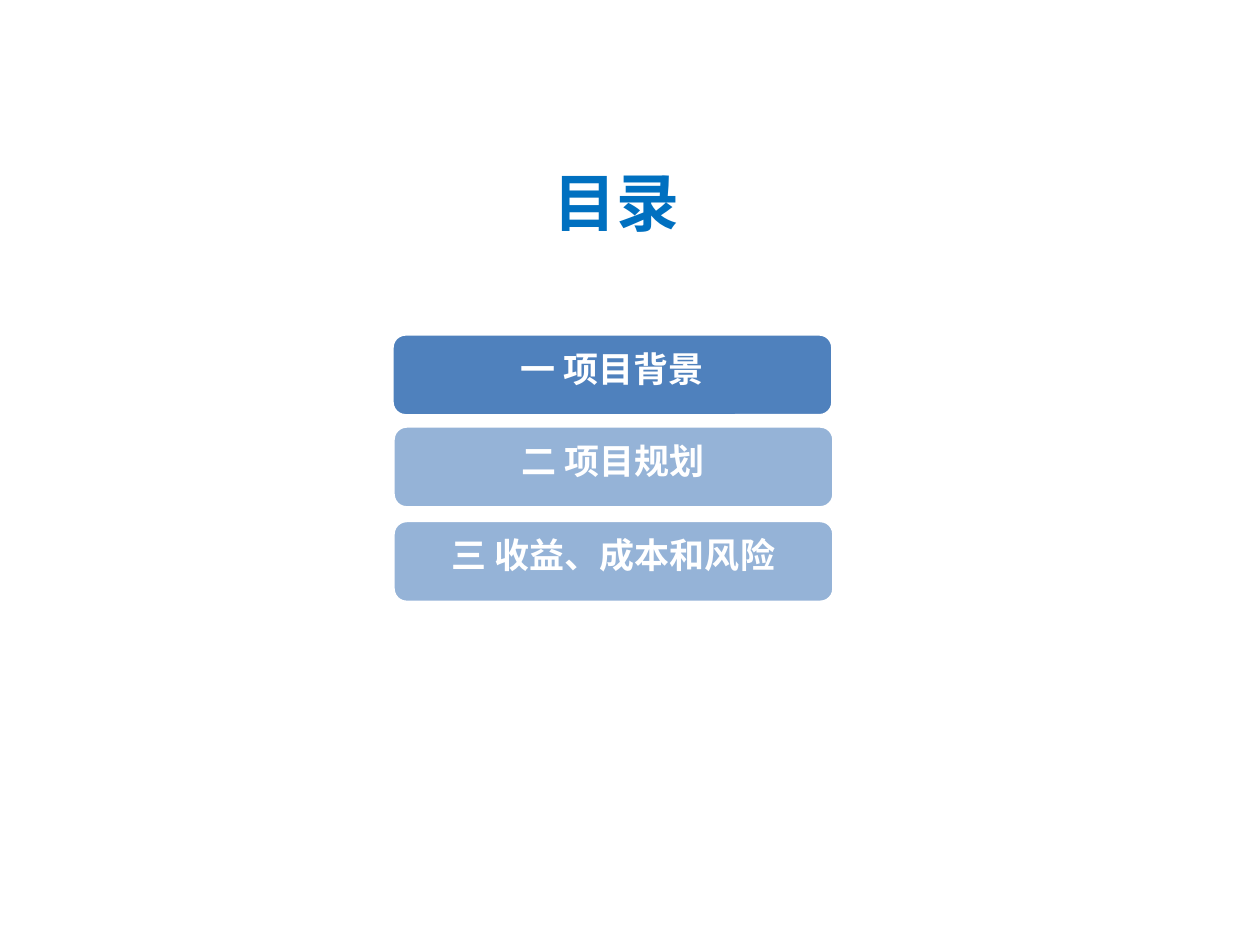
from pptx import Presentation
from pptx import util as u
from pptx.dml.color import RGBColor
from pptx.enum import shapes, text
from pptx.oxml.ns import qn
from lxml import etree

FONT = "Noto Sans CJK SC"
TITLE = {"text": "目录", "box": (308, 95, 88, 46.8), "size": 36, "color": "0070C0"}
BAR_W, BAR_H = 252, 46.8
BARS = [
    ("一 项目背景", 224, 190.8, "4F81BD"),
    ("二 项目规划", 224.6, 243.4, "95B3D7"),
    ("三 收益、成本和风险", 224.6, 297.4, "95B3D7"),
]
BAR_FRAME = {
    "word_wrap": True,
    "vertical_anchor": text.MSO_ANCHOR.BOTTOM,
    "margin_left": u.Pt(15),
    "margin_right": u.Pt(15),
    "margin_top": u.Pt(5),
    "margin_bottom": u.Pt(12.6),
}
TITLE_FRAME = {
    "word_wrap": False,
    "auto_size": text.MSO_AUTO_SIZE.NONE,
    "vertical_anchor": text.MSO_ANCHOR.TOP,
}


def rgb(value):
    return RGBColor.from_string(value)


def assign(obj, values):
    for name, value in values.items():
        setattr(obj, name, value)


def write(sp, content, size, color, frame):
    tf = sp.text_frame
    assign(tf, frame)
    p = tf.paragraphs[0]
    assign(p, {"alignment": text.PP_ALIGN.CENTER, "line_spacing": 0.9})
    r = p.add_run()
    r.text = content
    assign(r.font, {"name": FONT, "size": u.Pt(size), "bold": True})
    r.font.color.rgb = rgb(color)
    ea = etree.SubElement(r.font._element, qn("a:ea"))
    ea.set("typeface", FONT)


def add_bar(s, content, left, top, fill):
    box = map(u.Pt, (left, top, BAR_W, BAR_H))
    sp = s.shapes.add_shape(shapes.MSO_SHAPE.ROUNDED_RECTANGLE, *box)
    sp.shadow.inherit = False
    sp.fill.solid()
    sp.fill.fore_color.rgb = rgb(fill)
    sp.line.color.rgb = rgb("FFFFFF")
    sp.line.width = u.Pt(2)
    write(sp, content, 20, "FFFFFF", BAR_FRAME)


def main():
    prs = Presentation()
    assign(prs, {"slide_width": u.Pt(720), "slide_height": u.Pt(540)})
    s = prs.slides.add_slide(prs.slide_layouts[5])
    title = s.shapes.title
    assign(title, dict(zip(("left", "top", "width", "height"), map(u.Pt, TITLE["box"]))))
    write(title, TITLE["text"], TITLE["size"], TITLE["color"], TITLE_FRAME)
    for bar in BARS:
        add_bar(s, *bar)
    prs.save("out.pptx")


if __name__ == "__main__":
    main()
